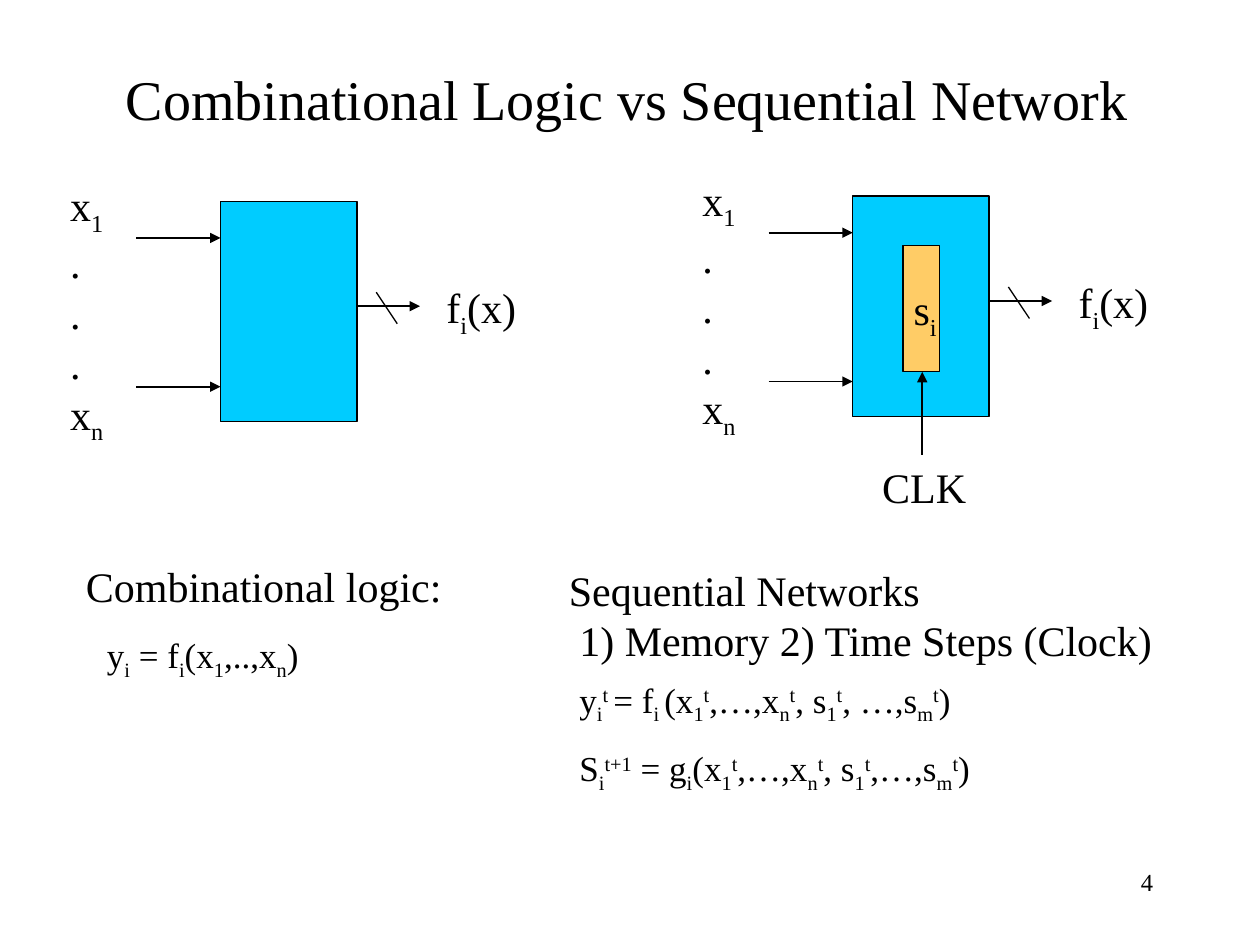
import pptx
import pptx.dml.color
import pptx.enum.shapes
import pptx.enum.text
import pptx.oxml.ns
import pptx.util
from lxml import etree

Pt = pptx.util.Pt
ALIGN = pptx.enum.text.PP_ALIGN
ANCHOR = pptx.enum.text.MSO_ANCHOR
COLORS = {"ink": "000000", "block": "00CCFF", "state": "FFCC66"}
BASELINES = {"_": "-25000", "^": "30000"}


class SlideBuilder:
    """Holds the text style and the current slide; lengths are in points."""

    font_name = "Times New Roman"

    def __init__(self, deck):
        self.slide = deck.slides.add_slide(deck.slide_layouts[6])

    def color(self, name):
        return pptx.dml.color.RGBColor.from_string(COLORS[name])

    def text(self, left, top, width, height, lines, size=24, align=ALIGN.LEFT,
             anchor=ANCHOR.TOP, wrap=True, gap=0):
        """Each line is split at |; a piece led by _ or ^ is sub- or superscript."""
        box = self.slide.shapes.add_textbox(Pt(left), Pt(top), Pt(width), Pt(height))
        frame = box.text_frame
        frame.word_wrap = wrap
        frame.vertical_anchor = anchor
        for index, line in enumerate(lines):
            para = frame.paragraphs[0] if index == 0 else frame.add_paragraph()
            para.alignment = align
            if index:
                para.space_before = Pt(gap)
            for piece in line.split("|"):
                span = para.add_run()
                span.text = piece.lstrip("_^")
                span.font.name = self.font_name
                span.font.size = Pt(size)
                span.font.color.rgb = self.color("ink")
                if piece[0] in BASELINES:
                    span.font._element.set("baseline", BASELINES[piece[0]])

    def rectangle(self, left, top, width, height, fill):
        box = self.slide.shapes.add_shape(
            pptx.enum.shapes.MSO_SHAPE.RECTANGLE,
            Pt(left), Pt(top), Pt(width), Pt(height))
        box.shadow.inherit = False
        box.fill.solid()
        box.fill.fore_color.rgb = self.color(fill)
        box.line.color.rgb = self.color("ink")
        box.line.width = Pt(0.75)

    def line(self, start_x, start_y, end_x, end_y, width=1, arrow=True):
        connector = self.slide.shapes.add_connector(
            pptx.enum.shapes.MSO_CONNECTOR.STRAIGHT,
            Pt(start_x), Pt(start_y), Pt(end_x), Pt(end_y))
        connector.line.color.rgb = self.color("ink")
        connector.line.width = Pt(width)
        qn = pptx.oxml.ns.qn
        if arrow:
            outline = connector.line._get_or_add_ln()
            etree.SubElement(outline, qn("a:tailEnd"), type="triangle")
        etree.SubElement(connector._element.spPr, qn("a:effectLst"))

    def circuit(self, left, top):
        """Block with inputs x1..xn and a bus output; left, top is the block corner."""
        self.rectangle(left, top, 78, 126, "block")
        for offset in (21, 106):
            self.line(left - 48, top + offset, left, top + offset)
        self.line(left + 78, top + 60, left + 114, top + 60)
        self.line(left + 89, top + 52, left + 101, top + 70, width=0.75, arrow=False)
        self.text(left - 93, top - 16, 34.5, 151,
                  ["x|_1", ".", ".", ".", "x|_n"], wrap=False)
        self.text(left + 122, top + 42.5, 55, 36, ["f|_i|(x)"], wrap=False)


def main():
    deck = pptx.Presentation()
    deck.slide_width, deck.slide_height = Pt(720), Pt(540)
    page = SlideBuilder(deck)

    # Title and page number
    page.text(51, 38, 615, 36, ["Combinational Logic vs Sequential Network"],
              size=32, align=ALIGN.CENTER, anchor=ANCHOR.MIDDLE)
    page.text(516, 492, 150, 36, ["4"], size=14, align=ALIGN.RIGHT)

    # Combinational logic on the left
    page.circuit(126, 115)
    page.text(42, 317, 294, 36, ["Combinational logic:"])
    page.text(54, 358.5, 192, 31, ["y|_i| = f|_i|(x|_1|,..,x|_n|)"], size=20)

    # Sequential network on the right, with state and clock
    page.circuit(487.25, 112)
    page.rectangle(516, 140.5, 21, 72, "state")
    page.line(527, 260, 527, 212.5)
    page.text(515, 158.5, 28, 36, ["s|_i"], wrap=False)
    page.text(497, 260, 62.5, 36, ["CLK"], wrap=False)
    page.text(318, 319, 396, 65,
              ["Sequential Networks", " 1) Memory 2) Time Steps (Clock)"])
    inputs = "(x|_1|^t|,…,x|_n|^t|, s|_1|^t|"
    page.text(324, 384, 336, 67,
              ["y|_i|^t |= f|_i |" + inputs + ", …,s|_m|^t|)",
               "S|_i|^t+1| = g|_i|" + inputs + ",…,s|_m|^t|)"],
              size=20, gap=12)

    deck.save("out.pptx")


if __name__ == "__main__":
    main()
